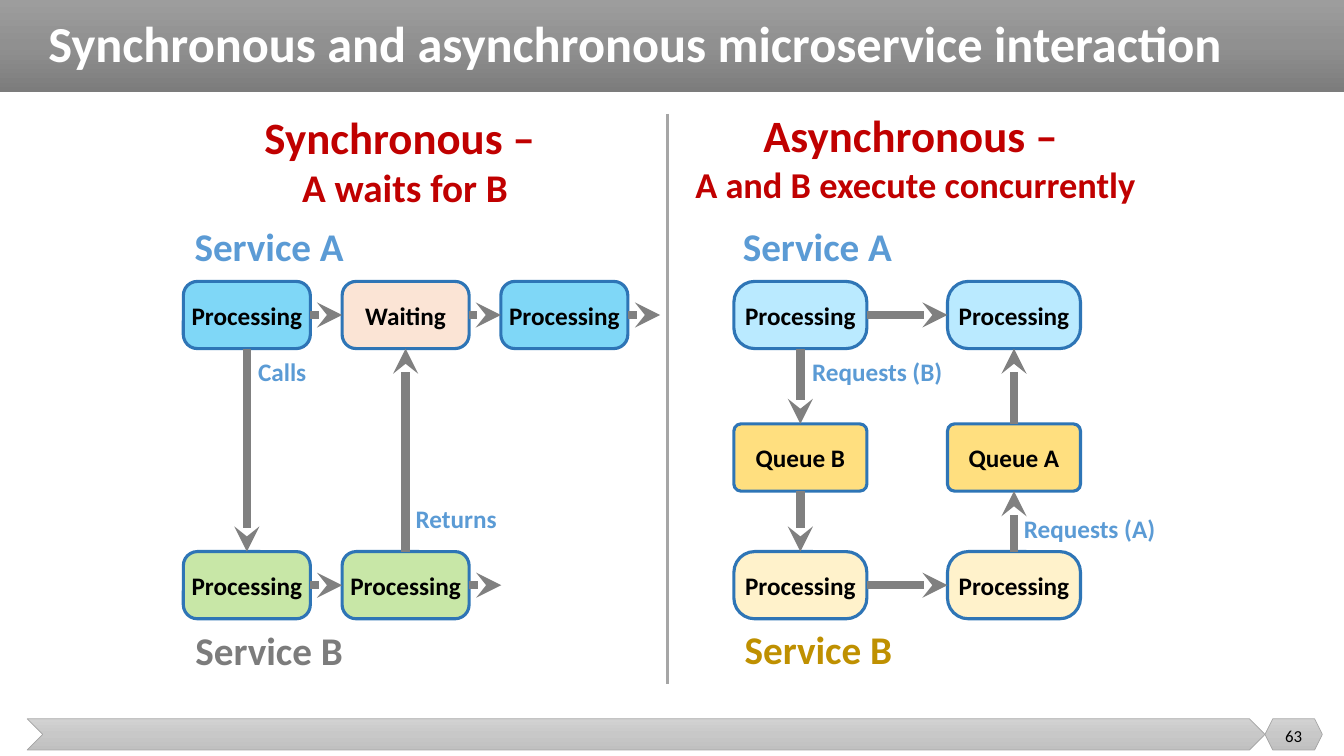
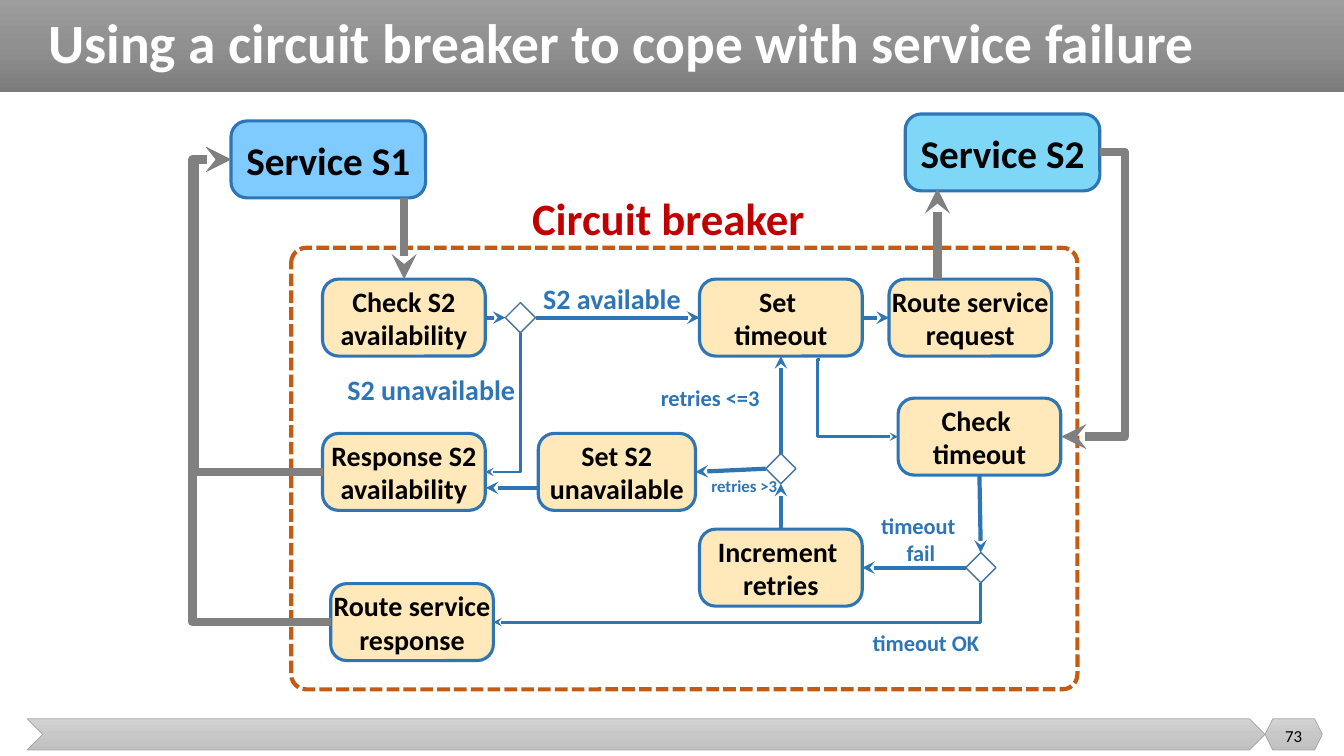
import copy

import lxml.etree
import pptx
import pptx.dml.color
import pptx.enum.dml
import pptx.enum.shapes
import pptx.enum.text
import pptx.oxml.ns
import pptx.util

Pt = pptx.util.Pt
qn = pptx.oxml.ns.qn
SHAPES = pptx.enum.shapes.MSO_SHAPE
CONNECTORS = pptx.enum.shapes.MSO_CONNECTOR
ANCHOR = pptx.enum.text.MSO_ANCHOR
ALIGN = pptx.enum.text.PP_ALIGN
AUTO_SIZE = pptx.enum.text.MSO_AUTO_SIZE

FONT = "Calibri"
BLACK, WHITE, RED = "000000", "FFFFFF", "C00000"
GRAY, BLUE, LIGHT_BLUE = "808080", "2E75B6", "5B9BD5"
AMBER = "FFD579"
TOP, LEFT, BOTTOM, RIGHT = range(4)


def rgb(value):
    """Turn a hex string into a colour."""
    return pptx.dml.color.RGBColor.from_string(value)


def add_child(parent, tag, **attributes):
    """Append an XML element with its attributes."""
    child = lxml.etree.SubElement(parent, qn(tag))
    for name, value in attributes.items():
        child.set(name, value)


def write(frame, lines, color, bold=True, align=ALIGN.CENTER):
    """Write (text, size) lines into one paragraph, one run each."""
    paragraph = frame.paragraphs[0]
    paragraph.alignment = align
    for index, (text, size) in enumerate(lines):
        if index:
            paragraph.add_line_break()
        run = paragraph.add_run()
        run.text = text
        run.font.name = FONT
        run.font.size = Pt(size)
        run.font.bold = bold
        run.font.color.rgb = rgb(color)
    return paragraph


def add_shape(slide, kind, box, line, width):
    """Add an unfilled, outlined shape without shadow."""
    shape = slide.shapes.add_shape(kind, *map(Pt, box))
    shape.shadow.inherit = False
    shape.fill.background()
    if line:
        shape.line.color.rgb = rgb(line)
        shape.line.width = Pt(width)
    else:
        shape.line.fill.background()
    return shape


def add_node(slide, box, lines, fill, rounding=0.209, size=18):
    """Add a half-transparent rounded box with centred bold text."""
    shape = add_shape(slide, SHAPES.ROUNDED_RECTANGLE, box, BLUE, 2.25)
    shape.adjustments[0] = rounding
    shape.fill.solid()
    shape.fill.fore_color.rgb = rgb(fill)
    add_child(shape.element.spPr.find(".//" + qn("a:srgbClr")), "a:alpha", val="50000")
    frame = shape.text_frame
    frame.margin_left = frame.margin_top = frame.margin_right = frame.margin_bottom = 0
    frame.word_wrap = False
    frame.vertical_anchor = ANCHOR.MIDDLE
    write(frame, [(line, size) for line in lines], BLACK)
    return shape


def add_diamond(slide, left, top):
    """Add a small white decision diamond."""
    diamond = add_shape(slide, SHAPES.DIAMOND, (left, top, 21.6, 21.6), "43739E", 1)
    diamond.fill.solid()
    diamond.fill.fore_color.rgb = rgb(WHITE)
    return diamond


def add_label(slide, box, lines, color, wrap=False):
    """Add a centred bold text box."""
    frame = slide.shapes.add_textbox(*map(Pt, box)).text_frame
    frame.word_wrap = wrap
    frame.auto_size = AUTO_SIZE.SHAPE_TO_FIT_TEXT
    write(frame, lines, color)


def style_line(connector, color, width, arrow=True):
    """Colour a connector, drop its shadow and add an arrowhead."""
    connector.line.color.rgb = rgb(color)
    connector.line.width = Pt(width)
    properties = connector.element.spPr
    if arrow:
        add_child(properties.find(qn("a:ln")), "a:tailEnd", type="stealth")
    add_child(properties, "a:effectLst")


def add_arrow(slide, begin, end, color=GRAY, width=6, arrow=True):
    """Draw a straight line between points or (shape, side) pairs."""
    ends = [point if isinstance(point[0], (int, float)) else (0, 0) for point in (begin, end)]
    connector = slide.shapes.add_connector(
        CONNECTORS.STRAIGHT, *map(Pt, ends[0] + ends[1]))
    for point, join in ((begin, connector.begin_connect), (end, connector.end_connect)):
        if not isinstance(point[0], (int, float)):
            join(*point)
    style_line(connector, color, width, arrow)


def add_elbow(slide, begin, end, color, width, rotation=0, bend=None):
    """Draw a bent arrow; without a bend ratio it has a single corner."""
    left, right = sorted((begin[0], end[0]))
    top, bottom = sorted((begin[1], end[1]))
    across, down = right - left, bottom - top
    if rotation == 90:
        left, top = left + (across - down) / 2, top + (down - across) / 2
        across, down = down, across
    connector = slide.shapes.add_connector(
        CONNECTORS.ELBOW, Pt(left), Pt(top), Pt(left + across), Pt(top + down))
    transform = connector.element.spPr.find(qn("a:xfrm"))
    if rotation:
        transform.set("rot", str(rotation * 60000))
    elif end[0] < begin[0]:
        transform.set("flipH", "1")
    geometry = connector.element.spPr.find(qn("a:prstGeom"))
    if bend is None:
        geometry.set("prst", "bentConnector2")
    else:
        add_child(geometry.find(qn("a:avLst")), "a:gd",
                  name="adj1", fmla=f"val {round(bend * 100000)}")
    style_line(connector, color, width)


def add_bands(slide, layout):
    """Build the gradient bands and place them on the layout."""
    title_colors = ("9D9D9D", "909090", "7C7C7C")
    footer_colors = ("D2D2D2", "C8C8C8", "C0C0C0")
    bands = (
        (SHAPES.RECTANGLE, (0, 0, 960, 65.5), title_colors, None),
        (SHAPES.CHEVRON, (19.4, 513.4, 884.2, 22.3), footer_colors, "A5A5A5"),
        (SHAPES.HEXAGON, (903.6, 513.4, 41, 22.3), footer_colors, "A5A5A5"),
    )
    for index, (kind, box, colors, line) in enumerate(bands):
        band = add_shape(slide, kind, box, line, 0.5)
        band.fill.gradient()
        band.fill.gradient_angle = 270
        stops = band.element.spPr.find(".//" + qn("a:gsLst"))
        stops.insert(1, copy.deepcopy(stops[0]))
        for stop, color, position in zip(band.fill.gradient_stops, colors, (0, 0.5, 1)):
            stop.color.rgb = rgb(color)
            stop.position = position
        layout.shapes.element.insert(2 + index, band.element)


def add_slide(presentation, layout, title, size, number):
    """Add a slide with its title and page number."""
    slide = presentation.slides.add_slide(layout)
    shape = slide.shapes.title
    shape.left, shape.top, shape.width, shape.height = map(Pt, (27.4, 0, 917.3, 65.5))
    frame = shape.text_frame
    frame.auto_size = AUTO_SIZE.NONE
    frame.vertical_anchor = ANCHOR.MIDDLE
    write(frame, [(title, size)], WHITE, align=ALIGN.LEFT).line_spacing = 0.9
    frame = slide.shapes.add_textbox(*map(Pt, (903.6, 511.2, 41, 28.8))).text_frame
    frame.word_wrap = True
    frame.vertical_anchor = ANCHOR.MIDDLE
    write(frame, [(number, 12)], BLACK, bold=False)
    return slide


def add_synchronous_panel(slide, left, top):
    """Draw service A waiting while service B answers."""
    width, height, step, row_a, row_b = 90.7, 48, 113.4, 128, 321

    def row(offset, steps):
        """Place one service's steps, joined by arrows."""
        nodes = [add_node(slide, (left + 2 + index * step, top + offset, width, height), [text], fill)
                 for index, (text, fill) in enumerate(steps)]
        for before, after in zip(nodes, nodes[1:]):
            add_arrow(slide, (before, RIGHT), (after, LEFT))
        end = left + 2 + (len(nodes) - 1) * step + width
        middle = top + offset + height / 2
        add_arrow(slide, (end, middle), (end + 23, middle))
        return nodes

    service_a = row(row_a, [("Processing", "00B0F0"), ("Waiting", "F8CBAD"), ("Processing", "00B0F0")])
    service_b = row(row_b, [("Processing", "92D050")] * 2)
    add_arrow(slide, (service_a[0], BOTTOM), (service_b[0], TOP))
    add_arrow(slide, (service_b[1], TOP), (service_a[1], BOTTOM))
    for x, y, w, h, lines, color in (
        (48, 2, 224.6, 80, [("Synchronous – ", 32), ("A waits for B", 28)], RED),
        (0, 82.5, 126.5, 41, [("Service A", 28)], LIGHT_BLUE),
        (0, 371, 126.5, 41, [("Service B", 28)], "7C7C7C"),
        (47.4, 178.3, 50.4, 28.8, [("Calls", 18)], LIGHT_BLUE),
        (159, 282.7, 75.6, 28.8, [("Returns", 18)], LIGHT_BLUE),
    ):
        add_label(slide, (left + x, top + y, w, h), lines, color)


def add_asynchronous_panel(slide, left, top):
    """Draw two services that talk through queues."""
    columns = (42.2, 194.8)

    def row(offset, texts, fill, rounding):
        """Place two boxes side by side."""
        return [add_node(slide, (left + x, top + offset, 95, 48), [text], fill, rounding)
                for x, text in zip(columns, texts)]

    service_a = row(128, ["Processing"] * 2, "76D6FF", 0.31)
    queues = row(229.8, ["Queue B", "Queue A"], "FFC000", 0.105)
    service_b = row(321, ["Processing"] * 2, "FFE699", 0.31)
    for before, after in zip((service_a, queues), (queues, service_b)):
        add_arrow(slide, (before[0], BOTTOM), (after[0], TOP))
        add_arrow(slide, (after[1], TOP), (before[1], BOTTOM))
    for service in (service_a, service_b):
        add_arrow(slide, (service[0], RIGHT), (service[1], LEFT))
    for x, y, w, h, lines, color in (
        (0, 0.5, 344.2, 77.8, [("Asynchronous – ", 32), ("A and B execute concurrently", 26)], RED),
        (38.6, 82.5, 126.5, 41, [("Service A", 28)], LIGHT_BLUE),
        (39.3, 369.8, 126.5, 41, [("Service B", 28)], "BF9000"),
        (88.2, 178.3, 113, 28.8, [("Requests (B)", 18)], LIGHT_BLUE),
        (239.4, 289.9, 113.8, 28.8, [("Requests (A)", 18)], LIGHT_BLUE),
    ):
        add_label(slide, (left + x, top + y, w, h), lines, color)


def add_circuit_breaker(slide, left, top):
    """Draw the circuit breaker between two services."""
    def at(x, y):
        """Shift a point into the diagram's box."""
        return left + x, top + y

    def step(x, y, *lines, width=116.2):
        """Add one step of the breaker."""
        return add_node(slide, at(x, y) + (width, 55), lines, AMBER, size=20)

    for x, y, text, fill in ((29, 6.4, "Service S1", "0096FF"), (510.6, 1.4, "Service S2", "00B0F0")):
        add_node(slide, at(x, y) + (139, 55), [text], fill, size=28)
    check = step(94.4, 119.4, "Check S2", "availability")
    response = step(94.4, 229.6, "Response S2", "availability")
    step(100.2, 336.9, "Route service", "response")
    unavailable = step(248.5, 229.6, "Set S2", "unavailable", width=112.3)
    increment = step(363.7, 298, "Increment ", "retries")
    set_timeout = step(363.7, 119.4, "Set ", "timeout")
    check_timeout = step(505.5, 204.4, "Check ", "timeout")
    request = step(499, 119.4, "Route service", "request")
    border = add_shape(slide, SHAPES.ROUNDED_RECTANGLE, at(72, 97) + (561.6, 315.4), "C55A11", 3)
    border.adjustments[0] = 0.034
    border.line.dash_style = pptx.enum.dml.MSO_LINE.SQUARE_DOT
    available = add_diamond(slide, *at(225, 136.1))
    retry = add_diamond(slide, *at(411, 244))
    timed_out = add_diamond(slide, *at(553.8, 314.7))

    for begin, end in (
        ((check, RIGHT), (available, LEFT)),
        ((available, RIGHT), (set_timeout, LEFT)),
        ((set_timeout, RIGHT), (request, LEFT)),
        ((check_timeout, BOTTOM), (timed_out, TOP)),
        ((timed_out, LEFT), (increment, RIGHT)),
        ((increment, TOP), (retry, BOTTOM)),
        ((retry, TOP), (set_timeout, BOTTOM)),
        ((retry, LEFT), (unavailable, RIGHT)),
        (at(248.5, 268.5), at(211, 268.5)),
    ):
        add_arrow(slide, begin, end, BLUE, 3)
    add_arrow(slide, at(152.7, 61.4), at(152.7, 119.4))
    add_arrow(slide, at(533.6, 119.4), at(533.6, 54.6))
    for begin, end, color, width, rotation, bend in (
        (at(449.4, 177), at(505.5, 231.9), BLUE, 2, 0, -0.023),
        (at(649.6, 28.7), at(622.2, 231.9), GRAY, 6, 0, -0.651),
        (at(94.4, 257.1), at(29, 33.9), GRAY, 6, 180, 1.397),
        (at(100.2, 364.4), at(29, 33.9), GRAY, 6, 180, 1.386),
        (at(235.8, 157.7), at(210.6, 257.1), BLUE, 2, 90, None),
        (at(564.6, 336.3), at(216.4, 364.4), BLUE, 2, 90, None),
    ):
        add_elbow(slide, begin, end, color, width, rotation, bend)

    for x, y, w, h, size, color, *lines in (
        (190.2, 52.5, 302.4, 46, 32, RED, "Circuit breaker"),
        (240.6, 117.3, 121, 31.7, 20, BLUE, "S2 available"),
        (94.4, 182.8, 155.5, 31.7, 20, BLUE, "S2 unavailable"),
        (471, 282.2, 101.5, 46, 16, BLUE, "timeout ", "fail"),
        (474.6, 365.7, 101.5, 26.6, 16, BLUE, "timeout OK"),
        (362.2, 256.2, 67, 21.6, 12, BLUE, "retries >3"),
        (320.5, 190.7, 101.5, 26.6, 16, BLUE, "retries <=3"),
    ):
        add_label(slide, at(x, y) + (w, h), [(line, size) for line in lines], color, wrap=True)


def main():
    """Build and save the presentation."""
    presentation = pptx.Presentation()
    presentation.slide_width, presentation.slide_height = Pt(960), Pt(540)
    layout = presentation.slide_layouts[5]
    slide = add_slide(presentation, layout, "Synchronous and asynchronous microservice interaction", 36, "63")
    add_bands(slide, layout)
    add_synchronous_panel(slide, 129, 73)
    add_asynchronous_panel(slide, 482, 73)
    add_arrow(slide, (476.6, 81.4), (476.6, 488.9), "A6A6A6", 2.25, arrow=False)
    slide = add_slide(presentation, layout, "Using a circuit breaker to cope with service failure", 39.6, "73")
    add_circuit_breaker(slide, 136, 80)
    presentation.save("out.pptx")


if __name__ == "__main__":
    main()
